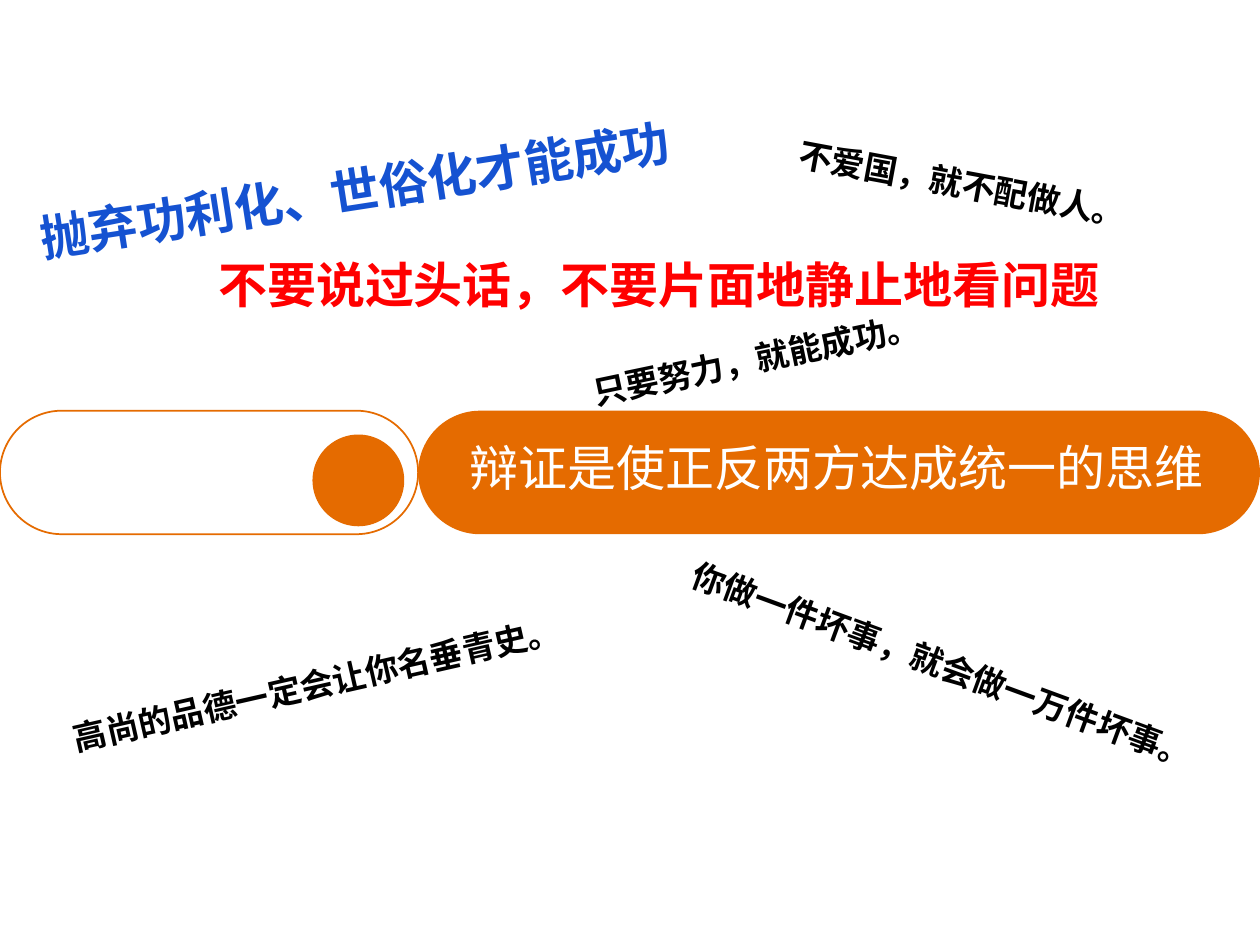
import pptx
import pptx.dml.color
import pptx.enum.shapes
import pptx.enum.text
import pptx.oxml
import pptx.oxml.ns
import pptx.util

Cm = pptx.util.Cm
RGBColor = pptx.dml.color.RGBColor
Shapes = pptx.enum.shapes.MSO_SHAPE
Align = pptx.enum.text.PP_ALIGN

ORANGE = RGBColor(0xE5, 0x6B, 0x00)
WHITE = RGBColor(0xFF, 0xFF, 0xFF)
RED = RGBColor(0xFF, 0x00, 0x00)
BLUE = RGBColor(0x15, 0x52, 0xD1)
BLACK = RGBColor(0x00, 0x00, 0x00)
SANS_SC = "Noto Sans CJK SC"
SANS_JP = "Noto Sans CJK JP"

# Content: lengths in cm, sizes in points, rotation in degrees
PAGE_WIDTH, PAGE_HEIGHT = 25.4, 19.05
BAR_TOP, BAR_HEIGHT, BAR_SPLIT = 8.28, 2.49, 8.43
DOT = (6.3, 8.76, 1.85, 1.85)
BANNER = ("辩证是使正反两方达成统一的思维", 8.84, 8.81, 16.05)
# text, left, top, width, rotation, size, font, colour
SAYINGS = [
    ("不要说过头话，不要片面地静止地看问题", 4.22, 5.03, 19.96, 0, 28, SANS_SC, RED),
    ("只要努力，就能成功。", 11.71, 6.65, 7.9, -11.8, 19, SANS_JP, BLACK),
    ("高尚的品德一定会让你名垂青史。", 1.17, 13.13, 11.86, -12.8, 19, SANS_JP, BLACK),
    ("抛弃功利化、世俗化才能成功", 0.56, 3.07, 14.02, -8.8, 28, SANS_JP, BLUE),
    ("不爱国，就不配做人。", 15.88, 3.25, 7.54, 10.6, 19, SANS_JP, BLACK),
    ("你做一件坏事，就会做一万件坏事。", 13.44, 13.13, 12.37, 20.2, 19, SANS_JP, BLACK),
]
LINE_HEIGHTS = {28: 1.37, 19: 0.99}


def add_shape(page, kind, left, top, width, height, fill=None, line=None):
    shape = page.shapes.add_shape(kind, Cm(left), Cm(top), Cm(width), Cm(height))
    shape.shadow.inherit = False
    if fill is None:
        shape.fill.background()
    else:
        shape.fill.solid()
        shape.fill.fore_color.rgb = fill
    if line is None:
        shape.line.fill.background()
    else:
        shape.line.color.rgb = line
        shape.line.width = pptx.util.Pt(1)
    return shape


def add_text(page, text, left, top, width, height, size, font, color,
             rotation=0, bold=True, align=Align.LEFT, margins=(0.18, 0.1)):
    box = page.shapes.add_textbox(Cm(left), Cm(top), Cm(width), Cm(height))
    box.rotation = rotation
    frame = box.text_frame
    frame.word_wrap = True
    frame.vertical_anchor = pptx.enum.text.MSO_ANCHOR.MIDDLE
    frame.margin_left = frame.margin_right = Cm(margins[0])
    frame.margin_top = frame.margin_bottom = Cm(margins[1])
    frame.text = text
    paragraph = frame.paragraphs[0]
    paragraph.alignment = align
    span = paragraph.runs[0]
    span.font.size = pptx.util.Pt(size)
    span.font.bold = bold
    span.font.color.rgb = color
    span.font.name = font
    # Chinese characters take the East Asian typeface
    east_asian = pptx.oxml.parse_xml(
        f'<a:ea {pptx.oxml.ns.nsdecls("a")} typeface="{font}"/>')
    span.font._element.append(east_asian)


def main():
    deck = pptx.Presentation()
    deck.slide_width, deck.slide_height = Cm(PAGE_WIDTH), Cm(PAGE_HEIGHT)
    page = deck.slides.add_slide(deck.slide_layouts[6])

    # Outlined and filled pills side by side, with a dot
    pills = [(0, BAR_SPLIT, None, ORANGE),
             (BAR_SPLIT, PAGE_WIDTH - BAR_SPLIT, ORANGE, None)]
    for left, width, fill, line in pills:
        pill = add_shape(page, Shapes.ROUNDED_RECTANGLE, left, BAR_TOP,
                         width, BAR_HEIGHT, fill, line)
        pill.adjustments[0] = 0.5
    add_shape(page, Shapes.OVAL, *DOT, fill=ORANGE)

    # Banner title
    add_text(page, *BANNER, 1.19, 28, SANS_SC, WHITE,
             bold=False, align=Align.CENTER, margins=(0, 0))

    # Tilted sayings
    for text, left, top, width, rotation, size, font, color in SAYINGS:
        add_text(page, text, left, top, width, LINE_HEIGHTS[size],
                 size, font, color, rotation)

    deck.save("out.pptx")


if __name__ == "__main__":
    main()
